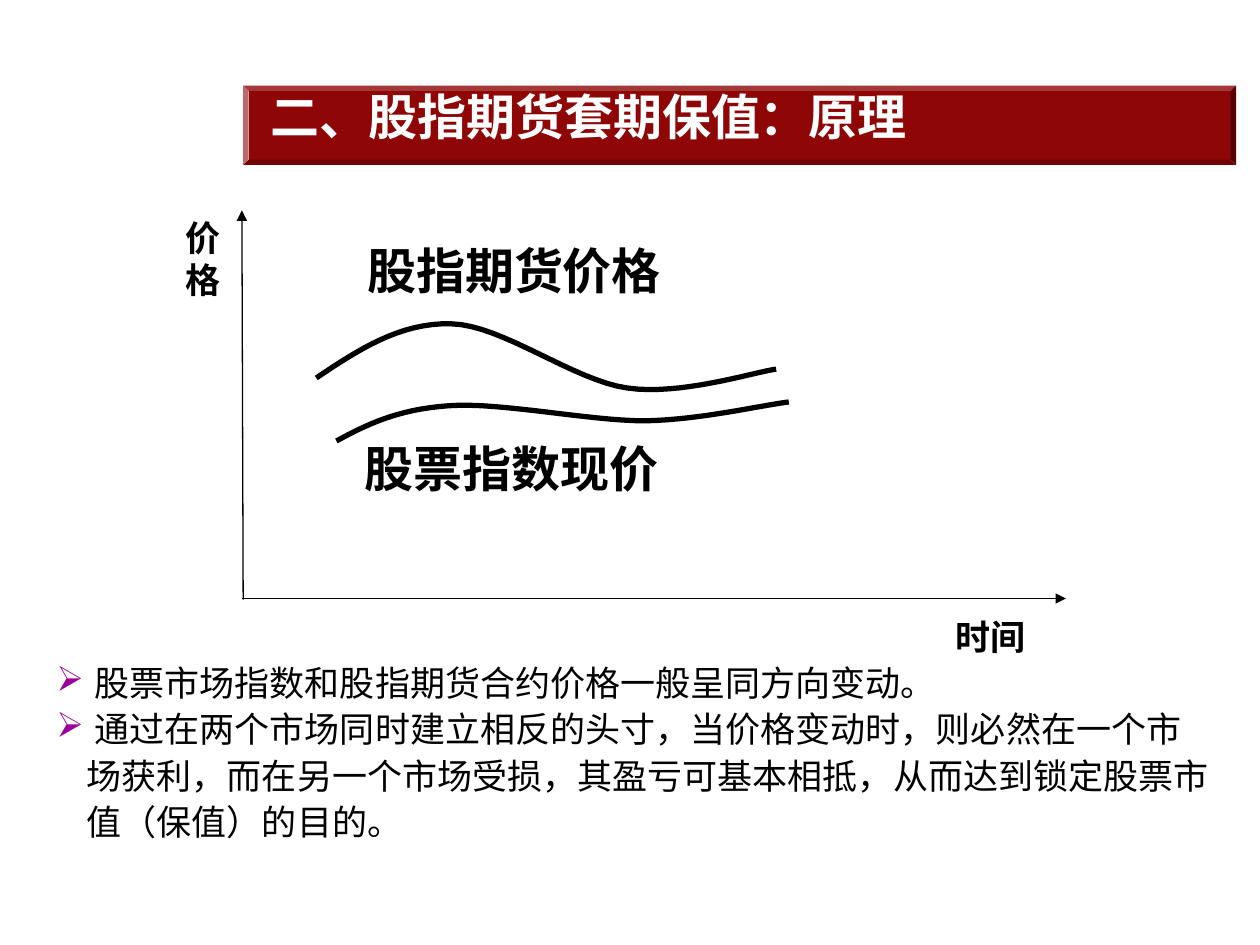
import pptx
import pptx.util
import pptx.dml.color
import pptx.enum.shapes
import pptx.enum.text
import pptx.oxml.ns
from lxml import etree

Inches, Pt = pptx.util.Inches, pptx.util.Pt
RGBColor = pptx.dml.color.RGBColor
ALIGN = pptx.enum.text.PP_ALIGN
ANCHOR = pptx.enum.text.MSO_ANCHOR
SHAPE = pptx.enum.shapes.MSO_SHAPE
qn = pptx.oxml.ns.qn

BLACK = RGBColor(0x00, 0x00, 0x00)
WHITE = RGBColor(0xFF, 0xFF, 0xFF)
DARK_RED = RGBColor(0x8E, 0x06, 0x06)
PURPLE = RGBColor(0x99, 0x00, 0x99)

# Content
TITLE = "二、股指期货套期保值：原理"
POINTS = [
    " 股票市场指数和股指期货合约价格一般呈同方向变动。",
    " 通过在两个市场同时建立相反的头寸，当价格变动时，则必然在一个市场获利，"
    "而在另一个市场受损，其盈亏可基本相抵，从而达到锁定股票市值（保值）的目的。",
]
# Chart labels: lines, box, size, wrap
LABELS = [
    (["时间"], (6.94, 4.84, 1.84, 0.43), 20, True),
    (["股指期货价格"], (2.76, 1.93, 2.64, 0.43), 28, True),
    (["股票指数现价"], (2.58, 3.5, 2.96, 0.43), 28, True),
    (["价", "格"], (0.98, 1.84, 1.27, 0.43), 20, False),
]
# Axes: from, to
AXES = [((1.93, 4.76), (1.92, 1.67)), ((1.92, 4.75), (8.46, 4.75))]
# Price curves: start point, then control, control, end for each Bezier piece
CURVES = [
    [(2.51, 3), (2.84, 2.78), (3.17, 2.56), (3.58, 2.57), (3.99, 2.58),
     (4.55, 3.02), (4.98, 3.08), (5.4, 3.14), (5.96, 2.96), (6.16, 2.93)],
    [(2.67, 3.5), (2.91, 3.37), (3.15, 3.25), (3.56, 3.22), (3.97, 3.19),
     (4.67, 3.34), (5.12, 3.34), (5.57, 3.33), (6.02, 3.22), (6.26, 3.19)],
]
STEPS = 16


def add_text(s, lines, box, size=20, font="Arial", color=BLACK, bold=True,
             align=ALIGN.LEFT, anchor=ANCHOR.TOP, wrap=True, spacing=None,
             bullet=None):
    tf = s.shapes.add_textbox(*map(Inches, box)).text_frame
    tf.word_wrap = wrap
    tf.vertical_anchor = anchor
    for i, line in enumerate(lines):
        p = tf.paragraphs[0] if i == 0 else tf.add_paragraph()
        p.alignment = align
        if spacing:
            p.line_spacing = spacing
        if bullet:
            add_bullet(p, bullet)
        r = p.add_run()
        r.text = line
        r.font.size, r.font.bold, r.font.name = Pt(size), bold, font
        r.font.color.rgb = color
        etree.SubElement(r.font._element, qn("a:ea"), typeface=font)


def add_bullet(p, char):
    pPr = p._p.get_or_add_pPr()
    pPr.set("marL", str(Inches(0.24)))
    pPr.set("indent", str(-Inches(0.24)))
    clr = etree.SubElement(pPr, qn("a:buClr"))
    etree.SubElement(clr, qn("a:srgbClr"), val=str(PURPLE))
    etree.SubElement(pPr, qn("a:buChar"), char=char)


def add_axis(s, start, end):
    c = s.shapes.add_connector(pptx.enum.shapes.MSO_CONNECTOR.STRAIGHT,
                               *map(Inches, start + end))
    c.line.color.rgb, c.line.width = BLACK, Pt(0.75)
    etree.SubElement(c.line._get_or_add_ln(), qn("a:tailEnd"), type="triangle")
    etree.SubElement(c._element.spPr, qn("a:effectLst"))


def bezier(p0, p1, p2, p3, t):
    u = 1 - t
    return tuple(Inches(u**3 * a + 3 * u * u * t * b + 3 * u * t * t * c + t**3 * d)
                 for a, b, c, d in zip(p0, p1, p2, p3))


def add_curve(s, points):
    trace = [bezier(*points[i:i + 4], k / STEPS)
             for i in range(0, len(points) - 1, 3) for k in range(1, STEPS + 1)]
    fb = s.shapes.build_freeform(*map(Inches, points[0]))
    fb.add_line_segments(trace, close=False)
    sp = fb.convert_to_shape()
    sp.shadow.inherit = False
    sp.fill.background()
    sp.line.color.rgb, sp.line.width = BLACK, Pt(3)
    etree.SubElement(sp.line._get_or_add_ln(), qn("a:round"))


def main():
    prs = pptx.Presentation()
    prs.slide_width, prs.slide_height = Inches(10), Inches(7.5)
    s = prs.slides.add_slide(prs.slide_layouts[6])

    # Title bar
    bar = s.shapes.add_shape(SHAPE.BEVEL, *map(Inches, (1.93, 0.68, 7.88, 0.63)))
    bar.adjustments[0] = 0.068
    bar.shadow.inherit = False
    bar.fill.solid()
    bar.fill.fore_color.rgb = DARK_RED
    bar.line.fill.background()
    add_text(s, [TITLE], (2.05, 0.64, 7.76, 0.57), size=28, font="DejaVu Sans",
             color=WHITE)

    # Explanation
    add_text(s, POINTS, (0.35, 5.17, 9.37, 1.57), font="Noto Sans CJK SC",
             bold=False, spacing=1.1, bullet="➢")

    # Price diagram
    for start, end in AXES:
        add_axis(s, start, end)
    for points in CURVES:
        add_curve(s, points)
    for lines, box, size, wrap in LABELS:
        add_text(s, lines, box, size=size, align=ALIGN.CENTER,
                 anchor=ANCHOR.MIDDLE, wrap=wrap)

    prs.save("out.pptx")


if __name__ == "__main__":
    main()
